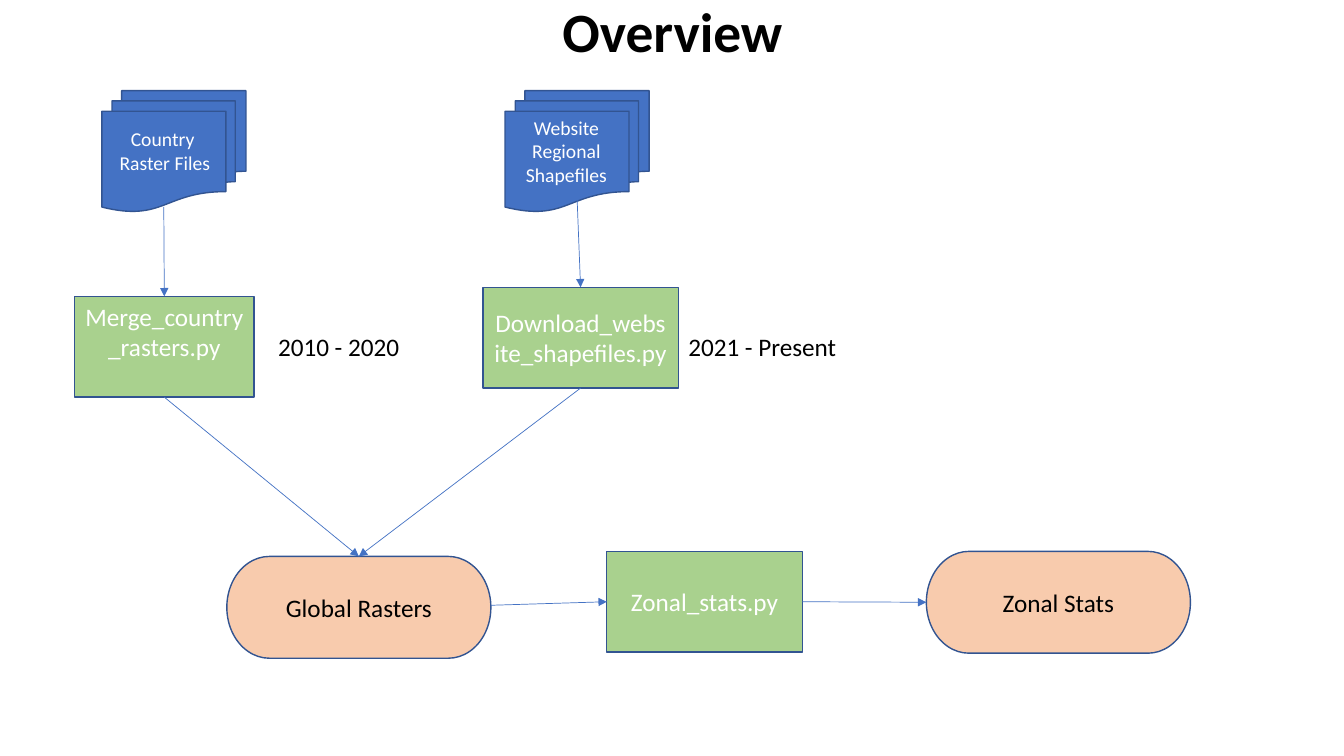
"""Build the overview flowchart slide of the raster and zonal statistics workflow."""
from dataclasses import dataclass

from lxml.etree import SubElement
from pptx import Presentation
from pptx.dml.color import RGBColor
from pptx.enum.shapes import MSO_CONNECTOR, MSO_SHAPE
from pptx.enum.text import MSO_ANCHOR, PP_ALIGN
from pptx.oxml.ns import qn
from pptx.util import Emu, Inches, Pt

BLUE = RGBColor(0x44, 0x72, 0xC4)
NAVY = RGBColor(0x32, 0x54, 0x91)
GREEN = RGBColor(0xA9, 0xD1, 0x8E)
PEACH = RGBColor(0xF8, 0xCB, 0xAD)
WHITE = RGBColor(0xFF, 0xFF, 0xFF)
BLACK = RGBColor(0x00, 0x00, 0x00)

FONT = "Calibri"
COLUMNS, ROWS = 40, 22.5

prs = Presentation()
prs.slide_width, prs.slide_height = Inches(13.33), Inches(7.5)
COL, ROW = prs.slide_width / COLUMNS, prs.slide_height / ROWS
slide = prs.slides.add_slide(prs.slide_layouts[6])


@dataclass(frozen=True)
class Box:
    col: float
    row: float
    cols: float
    rows: float

    def frame(self) -> tuple[Emu, Emu, Emu, Emu]:
        """Return left, top, width and height."""
        return (Emu(int(self.col * COL)), Emu(int(self.row * ROW)),
                Emu(int(self.cols * COL)), Emu(int(self.rows * ROW)))

    def at(self, across: float, down: float) -> tuple[Emu, Emu]:
        """Return the point at these shares of the box."""
        return (Emu(int((self.col + across * self.cols) * COL)),
                Emu(int((self.row + down * self.rows) * ROW)))


@dataclass(frozen=True)
class Node:
    box: Box
    kind: MSO_SHAPE
    fill: RGBColor
    text: str = ""
    color: RGBColor = WHITE
    bottom: float = 0.05


@dataclass(frozen=True)
class Label:
    box: Box
    text: str
    size: float = 18
    color: RGBColor = BLACK
    align: PP_ALIGN = PP_ALIGN.LEFT
    bold: bool = False
    wrap: bool = False
    anchor: MSO_ANCHOR = MSO_ANCHOR.TOP
    spacing: float = 1.0


@dataclass(frozen=True)
class Arrow:
    start: tuple[Emu, Emu]
    end: tuple[Emu, Emu]


def write(tf, text: str, size: float, color: RGBColor, align: PP_ALIGN,
          bold: bool = False, spacing: float = 1.0) -> None:
    """Fill a text frame with one paragraph per line."""
    tf.text = text
    for p in tf.paragraphs:
        p.alignment, p.line_spacing = align, spacing
        p.font.name, p.font.size, p.font.bold = FONT, Pt(size), bold
        p.font.color.rgb = color


def draw_node(node: Node) -> None:
    """Draw a filled flowchart shape."""
    sp = slide.shapes.add_shape(node.kind, *node.box.frame())
    sp.shadow.inherit = False
    sp.fill.solid()
    sp.fill.fore_color.rgb = node.fill
    sp.line.color.rgb, sp.line.width = NAVY, Pt(1)
    if node.text:
        tf = sp.text_frame
        tf.word_wrap, tf.vertical_anchor = True, MSO_ANCHOR.MIDDLE
        tf.margin_bottom = Inches(node.bottom)
        write(tf, node.text, 18, node.color, PP_ALIGN.CENTER)


def draw_label(label: Label) -> None:
    """Draw a free-standing text box."""
    tf = slide.shapes.add_textbox(*label.box.frame()).text_frame
    tf.word_wrap, tf.vertical_anchor = label.wrap, label.anchor
    write(tf, label.text, label.size, label.color, label.align, label.bold, label.spacing)


def draw_arrow(arrow: Arrow) -> None:
    """Draw a thin line with a triangle at its end."""
    line = slide.shapes.add_connector(MSO_CONNECTOR.STRAIGHT, *arrow.start, *arrow.end)
    line.line.color.rgb, line.line.width = BLUE, Pt(0.5)
    SubElement(line.line._get_or_add_ln(), qn("a:tailEnd"), type="triangle")
    SubElement(line._element.spPr, qn("a:effectLst"))


title = Box(2.76, 0.27, 34.5, 1.5)
country_files = Box(3.03, 2.7, 4.29, 3.6)
website_files = Box(15.03, 2.7, 4.29, 3.6)
merge = Box(2.22, 8.82, 5.34, 3)
download = Box(14.37, 8.55, 5.82, 3)
global_rasters = Box(6.75, 16.56, 7.86, 3.03)
zonal_script = Box(18.06, 16.41, 5.82, 3)
zonal_stats = Box(27.57, 16.41, 7.86, 3.03)

FILES = MSO_SHAPE.FLOWCHART_MULTIDOCUMENT
SCRIPT = MSO_SHAPE.FLOWCHART_PROCESS
RESULT = MSO_SHAPE.FLOWCHART_TERMINATOR

NODES = [
    Node(country_files, FILES, BLUE),
    Node(website_files, FILES, BLUE),
    Node(merge, SCRIPT, GREEN, "Merge_country_rasters.py", bottom=0.35),
    Node(download, SCRIPT, GREEN, "Download_website_shapefiles.py"),
    Node(global_rasters, RESULT, PEACH, "Global Rasters", BLACK),
    Node(zonal_script, SCRIPT, GREEN, "Zonal_stats.py"),
    Node(zonal_stats, RESULT, PEACH, "Zonal Stats", BLACK),
]
LABELS = [
    Label(title, "Overview", 39.6, align=PP_ALIGN.CENTER, bold=True, wrap=True,
          anchor=MSO_ANCHOR.MIDDLE, spacing=0.9),
    Label(Box(3.24, 3.63, 3.33, 1.71), "Country \nRaster Files", 14, WHITE, PP_ALIGN.CENTER),
    Label(Box(15.33, 3.3, 3.06, 2.43), "Website\nRegional\nShapefiles", 14, WHITE,
          PP_ALIGN.CENTER),
    Label(Box(20.19, 9.72, 5.07, 1.2), "2021 - Present"),
    Label(Box(7.98, 9.72, 4.26, 1.2), "2010 - 2020"),
]
ARROWS = [
    Arrow(country_files.at(0.43, 0.96), merge.at(0.5, 0)),
    Arrow(website_files.at(0.5, 0.88), download.at(0.5, 0)),
    Arrow(merge.at(0.5, 1), global_rasters.at(0.5, 0)),
    Arrow(download.at(0.5, 1), global_rasters.at(0.5, 0)),
    Arrow(global_rasters.at(1, 0.48), zonal_script.at(0, 0.5)),
    Arrow(zonal_script.at(1, 0.5), zonal_stats.at(0, 0.5)),
]

for node in NODES:
    draw_node(node)
for label in LABELS:
    draw_label(label)
for arrow in ARROWS:
    draw_arrow(arrow)

prs.save("out.pptx")
